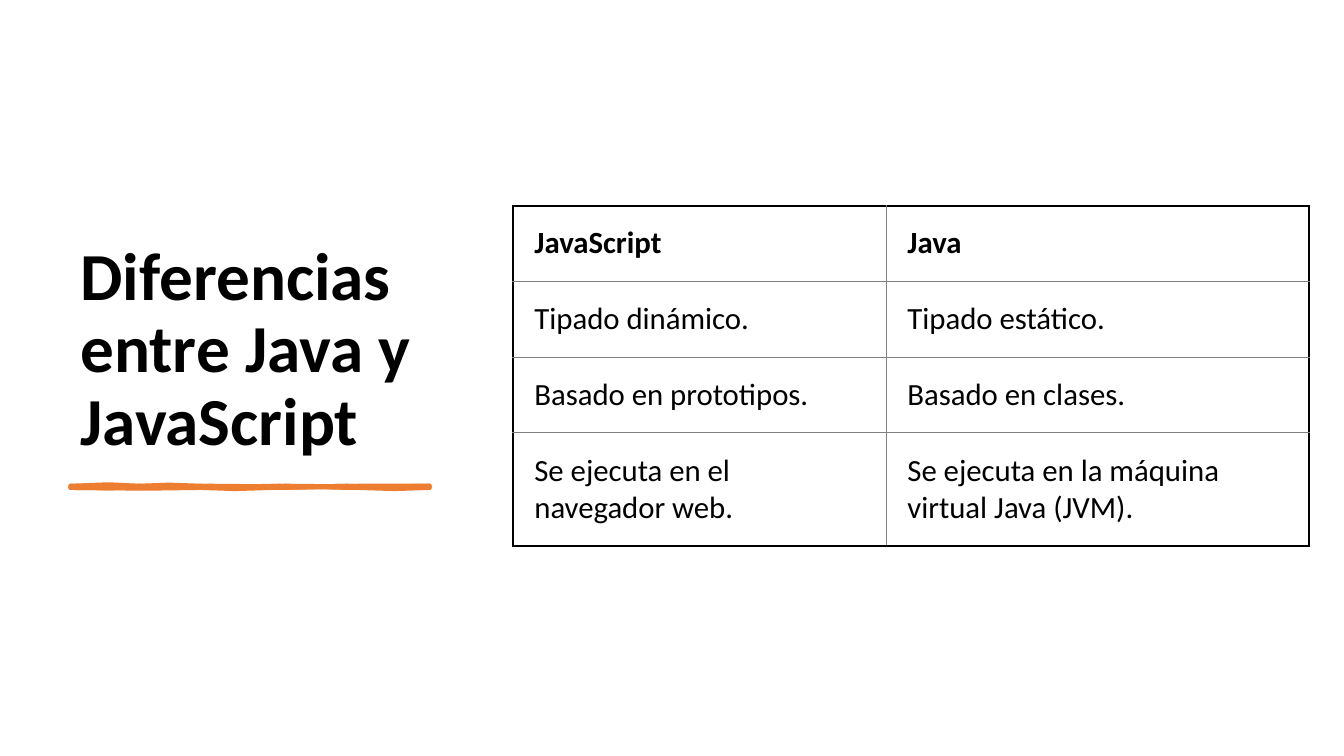
import pptx
import pptx.util
import pptx.dml.color
import pptx.enum.text
import pptx.oxml.ns
import lxml.etree

TITLE = "Diferencias entre Java y JavaScript"
ROWS = [
    ("JavaScript", "Java"),
    ("Tipado dinámico.", "Tipado estático."),
    ("Basado en prototipos.", "Basado en clases."),
    ("Se ejecuta en el navegador web.", "Se ejecuta en la máquina virtual Java (JVM)."),
]
COLORS = {"ink": "000000", "grid": "808080", "accent": "ED7D31"}
FONT = "Calibri"
WIDTH, HEIGHT = 13.33, 7.5
MARGIN = 0.7
TITLE_SIDE = 3.91
TABLE_LEFT, TABLE_TOP = 5.09, 2.04
COLUMN_WIDTHS = [3.7, 4.19]
ROW_HEIGHTS = [0.75, 0.75, 0.75, 1.13]
CELL_FORMAT = {"margin_left": 0.21, "margin_top": 0.16, "margin_right": 0.29, "margin_bottom": 0.16}
OUTER, INNER = ("ink", 1.5), ("grid", 0.5)

# Brush strokes: a start point, then cubic curves of two controls and an end.
BRUSH_STROKES = [
    [
        (0.7, 4.82), (0.97, 4.8), (1.21, 4.8), (1.38, 4.82), (1.55, 4.84), (1.77, 4.82), (2.09, 4.82),
        (2.41, 4.82), (2.6, 4.83), (2.84, 4.82), (3.08, 4.81), (3.39, 4.84), (3.59, 4.82),
        (3.79, 4.81), (4.12, 4.83), (4.26, 4.82), (4.26, 4.83), (4.26, 4.84), (4.26, 4.84),
        (4.08, 4.85), (3.64, 4.83), (3.48, 4.84), (3.32, 4.85), (3.04, 4.81), (2.7, 4.84),
        (2.35, 4.87), (2.31, 4.84), (1.99, 4.84), (1.66, 4.84), (1.32, 4.86), (0.7, 4.84),
    ],
    [
        (0.7, 4.82), (1.02, 4.84), (1.1, 4.83), (1.38, 4.82), (1.66, 4.81), (1.69, 4.8), (1.99, 4.82),
        (2.28, 4.84), (2.61, 4.83), (2.77, 4.82), (2.93, 4.81), (3.27, 4.85), (3.44, 4.82),
        (3.62, 4.8), (3.97, 4.86), (4.26, 4.82), (4.26, 4.83), (4.26, 4.83), (4.26, 4.84),
        (4.12, 4.84), (3.72, 4.87), (3.55, 4.84), (3.38, 4.82), (3.09, 4.84), (2.77, 4.84),
        (2.44, 4.84), (2.4, 4.83), (2.16, 4.84), (1.93, 4.85), (1.79, 4.83), (1.45, 4.84),
        (1.11, 4.85), (0.92, 4.84), (0.7, 4.84),
    ],
]
CURVE_STEPS = 2


def rgb(name):
    return pptx.dml.color.RGBColor.from_string(COLORS[name])


def write(frame, text, size, bold):
    frame.word_wrap = True
    para = frame.paragraphs[0]
    span = para.add_run()
    span.text = text
    for name, value in {"name": FONT, "size": pptx.util.Pt(size), "bold": bold}.items():
        setattr(span.font, name, value)
    span.font.color.rgb = rgb("ink")
    return para


def sample(points):
    """Turn a chain of cubic curves in inches into a few points in EMU."""
    for first in range(0, len(points) - 1, 3):
        curve = points[first:first + 4]
        for step in range(1, CURVE_STEPS + 1):
            t = step / CURVE_STEPS
            weights = ((1 - t) ** 3, 3 * t * (1 - t) ** 2, 3 * t * t * (1 - t), t ** 3)
            yield tuple(pptx.util.Inches(sum(w * point[axis] for w, point in zip(weights, curve)))
                        for axis in (0, 1))


def add_brush(page):
    start = tuple(map(pptx.util.Inches, BRUSH_STROKES[0][0]))
    builder = page.shapes.build_freeform(*start)
    for number, stroke in enumerate(BRUSH_STROKES):
        if number:
            builder.move_to(*map(pptx.util.Inches, stroke[0]))
        builder.add_line_segments(list(sample(stroke)), close=True)
    brush = builder.convert_to_shape()
    brush.shadow.inherit = False
    brush.fill.solid()
    brush.fill.fore_color.rgb = rgb("accent")
    brush.line.color.rgb = rgb("accent")
    brush.line.width = pptx.util.Pt(3)


def add_border(cell, side, color, width):
    qn = pptx.oxml.ns.qn
    line = lxml.etree.SubElement(cell._tc.get_or_add_tcPr(), qn("a:ln" + side),
                                 w=str(pptx.util.Pt(width)))
    fill = lxml.etree.SubElement(line, qn("a:solidFill"))
    lxml.etree.SubElement(fill, qn("a:srgbClr"), val=COLORS[color])


def add_comparison(page):
    box = [TABLE_LEFT, TABLE_TOP, sum(COLUMN_WIDTHS), sum(ROW_HEIGHTS)]
    table = page.shapes.add_table(len(ROWS), len(COLUMN_WIDTHS), *map(pptx.util.Inches, box)).table
    table.first_row = table.horz_banding = False
    for column, width in zip(table.columns, COLUMN_WIDTHS):
        column.width = pptx.util.Inches(width)
    for row, height in zip(table.rows, ROW_HEIGHTS):
        row.height = pptx.util.Inches(height)
    last_row, last_column = len(ROWS) - 1, len(COLUMN_WIDTHS) - 1
    for r, texts in enumerate(ROWS):
        for c, text in enumerate(texts):
            cell = table.cell(r, c)
            write(cell.text_frame, text, 22, r == 0)
            cell.vertical_anchor = pptx.enum.text.MSO_ANCHOR.MIDDLE
            for name, value in CELL_FORMAT.items():
                setattr(cell, name, pptx.util.Inches(value))
            edges = {"L": c == 0, "R": c == last_column, "T": r == 0, "B": r == last_row}
            for side, is_outer in edges.items():
                add_border(cell, side, *(OUTER if is_outer else INNER))
            cell.fill.background()


def main():
    deck = pptx.Presentation()
    deck.slide_width, deck.slide_height = pptx.util.Inches(WIDTH), pptx.util.Inches(HEIGHT)
    page = deck.slides.add_slide(deck.slide_layouts[6])
    title_box = [MARGIN, MARGIN, TITLE_SIDE, TITLE_SIDE]
    title = page.shapes.add_textbox(*map(pptx.util.Inches, title_box))
    title.text_frame.vertical_anchor = pptx.enum.text.MSO_ANCHOR.BOTTOM
    para = write(title.text_frame, TITLE, 48, True)
    para.line_spacing = 0.9
    para.space_after = pptx.util.Pt(6)
    add_brush(page)
    add_comparison(page)
    deck.save("out.pptx")


if __name__ == "__main__":
    main()
